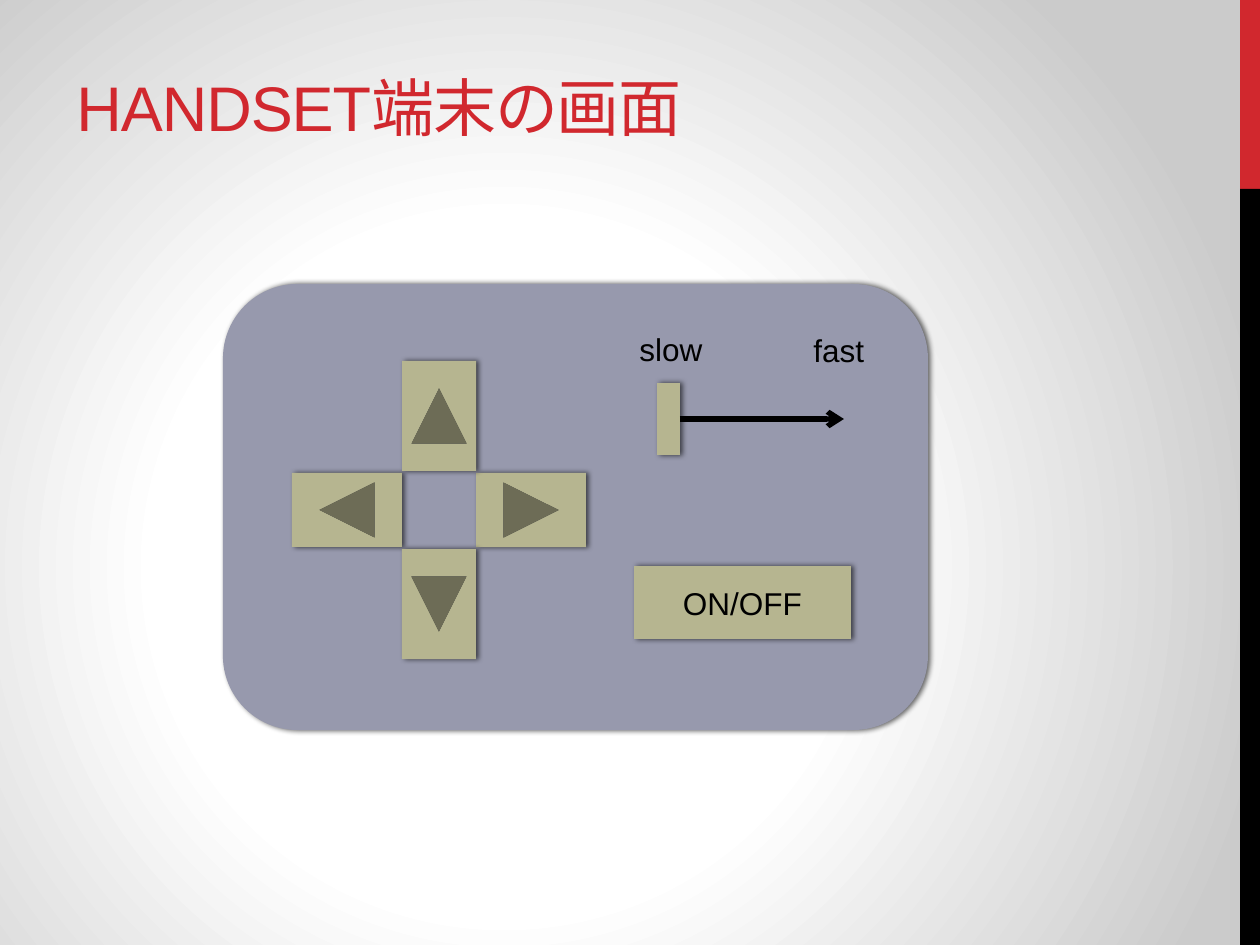
from dataclasses import dataclass

from lxml.etree import SubElement
from pptx import Presentation
from pptx.dml.color import RGBColor
from pptx.enum.shapes import MSO_CONNECTOR, MSO_SHAPE
from pptx.enum.text import MSO_ANCHOR, PP_ALIGN
from pptx.oxml import parse_xml
from pptx.oxml.ns import nsdecls, qn
from pptx.util import Pt

EMU_PER_PX = 914400 / 126
SLIDE_WIDTH, SLIDE_HEIGHT = 1260, 945


@dataclass(frozen=True)
class Theme:
    accent: str = "D1282E"
    black: str = "000000"
    panel: str = "9799AD"
    button: str = "B6B590"
    glow: str = "FFFFFF"
    edge: str = "CBCBCB"
    font: str = "Arial"
    title_font: str = "Montserrat"
    title_size: int = 36
    label_size: int = 18


THEME = Theme()


def px(length):
    return round(length * EMU_PER_PX)


def paint_background(slide):
    fill = slide.background.fill
    fill.gradient()
    properties = slide._element.cSld.find(qn("p:bg")).find(qn("p:bgPr"))
    stops = "".join(
        f'<a:gs pos="{position}"><a:srgbClr val="{color}"/></a:gs>'
        for position, color in [(0, THEME.glow), (44000, THEME.glow), (100000, THEME.edge)]
    )
    gradient = parse_xml(
        f'<a:gradFill {nsdecls("a")} rotWithShape="1"><a:gsLst>{stops}</a:gsLst>'
        '<a:path path="circle"><a:fillToRect l="40000" t="60000" r="60000" b="40000"/></a:path>'
        "</a:gradFill>"
    )
    properties.replace(properties.find(qn("a:gradFill")), gradient)


def add_block(slide, preset, box, color, shadow=True, rotation=0):
    shape = slide.shapes.add_shape(preset, *map(px, box))
    shape.rotation = rotation
    shape.fill.solid()
    shape.fill.fore_color.rgb = RGBColor.from_string(color)
    shape.line.fill.background()
    shape.shadow.inherit = False
    if shadow:
        effects = shape._element.spPr.find(qn("a:effectLst"))
        effects.append(parse_xml(
            f'<a:outerShdw {nsdecls("a")} blurRad="{Pt(3)}" dist="{Pt(1.5)}" dir="0" '
            f'rotWithShape="0"><a:srgbClr val="{THEME.black}"><a:alpha val="60000"/>'
            "</a:srgbClr></a:outerShdw>"
        ))
    return shape


def write_text(shape, *pieces, size=THEME.label_size, color=THEME.black,
               align=PP_ALIGN.LEFT, anchor=MSO_ANCHOR.TOP, spacing=0):
    """Write one paragraph from (text, font) pieces."""
    frame = shape.text_frame
    frame.word_wrap = True
    frame.vertical_anchor = anchor
    paragraph = frame.paragraphs[0]
    paragraph.alignment = align
    for text, font in pieces:
        run = paragraph.add_run()
        run.text = text
        run.font.name = font
        run.font.size = Pt(size)
        run.font.color.rgb = RGBColor.from_string(color)
        properties = run.font._element
        SubElement(properties, qn("a:ea")).set("typeface", font)
        if spacing:
            properties.set("spc", str(spacing))


def add_label(slide, box, *pieces, **text_format):
    write_text(slide.shapes.add_textbox(*map(px, box)), *pieces, **text_format)


def add_side_band(slide, left, top, width, height):
    accent_height = height // 5
    add_block(slide, MSO_SHAPE.RECTANGLE, (left, top, width, accent_height),
              THEME.accent, shadow=False)
    add_block(slide, MSO_SHAPE.RECTANGLE,
              (left, top + accent_height, width, height - accent_height),
              THEME.black, shadow=False)


def add_direction_pad(slide, left, top, width, height):
    """Place four arrow buttons against the sides of the box."""
    length, thickness = 110, 74
    center_x, center_y = left + width / 2, top + height / 2
    reach_x, reach_y = (width - length) / 2, (height - length) / 2
    for step_x, step_y, rotation in [(-1, 0, 0), (1, 0, 180), (0, 1, 270), (0, -1, 90)]:
        box = (center_x + step_x * reach_x - length / 2,
               center_y + step_y * reach_y - thickness / 2, length, thickness)
        add_block(slide, MSO_SHAPE.ACTION_BUTTON_BACK_OR_PREVIOUS, box,
                  THEME.button, rotation=rotation)


def add_speed_slider(slide, left, top, width, height):
    knob_left, knob_top, knob_width, knob_height = left + 30, top + 59, 23, 72
    add_block(slide, MSO_SHAPE.ACTION_BUTTON_CUSTOM,
              (knob_left, knob_top, knob_width, knob_height), THEME.button)
    add_label(slide, (left, top, 126, 50), ("slow", THEME.font))
    add_label(slide, (left + width - 87, top + 1, 87, 50), ("fast", THEME.font))
    track_y = px(knob_top + knob_height / 2)
    track = slide.shapes.add_connector(
        MSO_CONNECTOR.STRAIGHT, px(knob_left + knob_width), track_y,
        px(left + width - 44), track_y)
    track.line.width = Pt(3)
    track.line.color.rgb = RGBColor.from_string(THEME.black)
    SubElement(track.line._get_or_add_ln(), qn("a:tailEnd")).set("type", "arrow")
    SubElement(track._element.spPr, qn("a:effectLst"))


def add_control_panel(slide, left, top, width, height):
    add_block(slide, MSO_SHAPE.ROUNDED_RECTANGLE, (left, top, width, height), THEME.panel)
    add_direction_pad(slide, left + 69, top + 77, 294, 298)
    add_speed_slider(slide, left + 404, top + 40, 261, 131)
    switch = add_block(slide, MSO_SHAPE.ACTION_BUTTON_CUSTOM,
                       (left + 411, top + 282, 217, 73), THEME.button)
    write_text(switch, ("ON/OFF", THEME.font),
               align=PP_ALIGN.CENTER, anchor=MSO_ANCHOR.MIDDLE)


def main():
    presentation = Presentation()
    presentation.slide_width, presentation.slide_height = px(SLIDE_WIDTH), px(SLIDE_HEIGHT)
    slide = presentation.slides.add_slide(presentation.slide_layouts[6])
    paint_background(slide)
    add_side_band(slide, SLIDE_WIDTH - 20, 0, 20, SLIDE_HEIGHT)
    add_label(slide, (64, 55, 798, 95),
              ("HANDSET", THEME.font), ("端末の画面", THEME.title_font),
              size=THEME.title_size, color=THEME.accent,
              anchor=MSO_ANCHOR.BOTTOM, spacing=-60)
    add_control_panel(slide, 223, 284, 705, 446)
    presentation.save("out.pptx")


if __name__ == "__main__":
    main()
